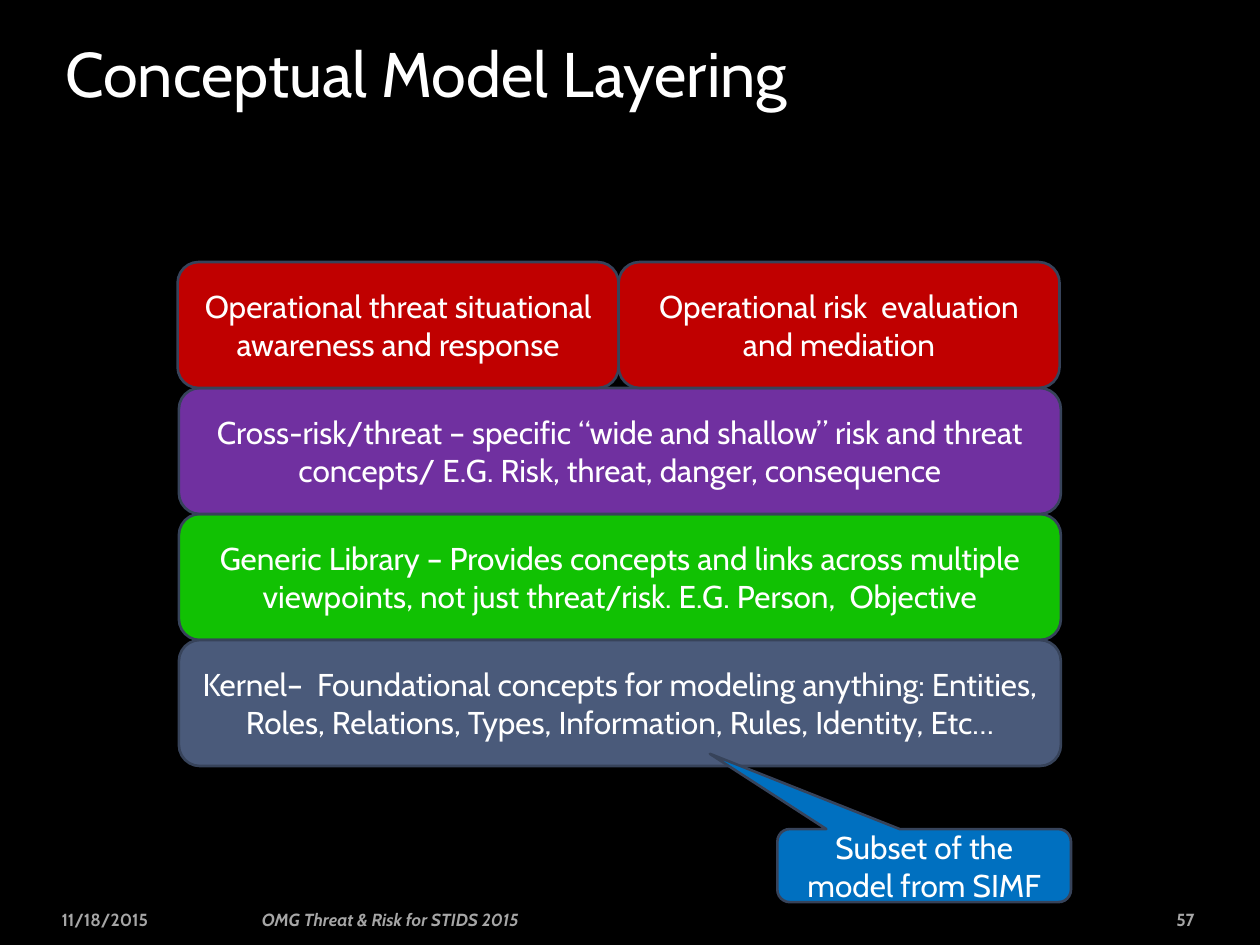
from dataclasses import dataclass

from pptx import Presentation
from pptx.dml.color import RGBColor
from pptx.enum import shapes, text
from pptx.util import Inches, Pt

BLACK = RGBColor(0x00, 0x00, 0x00)
WHITE = RGBColor(0xFF, 0xFF, 0xFF)
GRAY = RGBColor(0xA6, 0xA6, 0xA6)
OUTLINE = RGBColor(0x37, 0x43, 0x5A)
RED = RGBColor(0xC0, 0x00, 0x00)
PURPLE = RGBColor(0x70, 0x30, 0xA0)
GREEN = RGBColor(0x11, 0xC1, 0x03)
SLATE = RGBColor(0x4A, 0x5A, 0x7A)
BLUE = RGBColor(0x00, 0x70, 0xC0)

FONT = "Cabin"
LAYER_LEFT, LAYER_WIDTH, LAYER_HEIGHT = 1.42, 7, 1
TOP_ROW_LEFT, TOP_ROW_TOP = 1.41, 2.08
HALF_WIDTH = LAYER_WIDTH / 2
FOOTER_TOP, FOOTER_HEIGHT = 7.16, 0.27


@dataclass
class Block:
    label: str
    fill: RGBColor
    left: float
    top: float
    width: float = LAYER_WIDTH
    height: float = LAYER_HEIGHT
    kind: shapes.MSO_SHAPE = shapes.MSO_SHAPE.ROUNDED_RECTANGLE
    adjustments: tuple[float, ...] = ()


@dataclass
class Label:
    wording: str
    left: float
    top: float
    width: float
    height: float
    size: float = 10
    color: RGBColor = GRAY
    bold: bool = True
    italic: bool = False
    align: text.PP_ALIGN = text.PP_ALIGN.LEFT
    anchor: text.MSO_ANCHOR = text.MSO_ANCHOR.MIDDLE


def write(frame, wording: str, size: float, color: RGBColor, align, anchor,
          bold: bool = False, italic: bool = False) -> None:
    frame.word_wrap = True
    frame.vertical_anchor = anchor
    paragraph = frame.paragraphs[0]
    paragraph.alignment = align
    run = paragraph.add_run()
    run.text = wording
    run.font.name = FONT
    run.font.size = Pt(size)
    run.font.bold = bold
    run.font.italic = italic
    run.font.color.rgb = color


def draw_block(slide, block: Block) -> None:
    shape = slide.shapes.add_shape(
        block.kind, Inches(block.left), Inches(block.top),
        Inches(block.width), Inches(block.height))
    for index, value in enumerate(block.adjustments):
        shape.adjustments[index] = value
    shape.shadow.inherit = False
    shape.fill.solid()
    shape.fill.fore_color.rgb = block.fill
    shape.line.color.rgb = OUTLINE
    shape.line.width = Pt(1.5)
    write(shape.text_frame, block.label, 18, WHITE,
          text.PP_ALIGN.CENTER, text.MSO_ANCHOR.MIDDLE)


def draw_label(slide, label: Label) -> None:
    box = slide.shapes.add_textbox(
        Inches(label.left), Inches(label.top),
        Inches(label.width), Inches(label.height))
    write(box.text_frame, label.wording, label.size, label.color,
          label.align, label.anchor, label.bold, label.italic)


BLOCKS = [
    Block("Generic Library – Provides concepts and links across multiple viewpoints, "
          "not just threat/risk. E.G. Person,  Objective",
          GREEN, LAYER_LEFT, TOP_ROW_TOP + 2 * LAYER_HEIGHT),
    Block("Kernel–  Foundational concepts for modeling anything: Entities, Roles, "
          "Relations, Types, Information, Rules, Identity, Etc…",
          SLATE, LAYER_LEFT, TOP_ROW_TOP + 3 * LAYER_HEIGHT),
    Block("Cross-risk/threat – specific “wide and shallow” risk and threat concepts/ "
          "E.G. Risk, threat, danger, consequence",
          PURPLE, LAYER_LEFT, TOP_ROW_TOP + LAYER_HEIGHT),
    Block("Operational threat situational awareness and response",
          RED, TOP_ROW_LEFT, TOP_ROW_TOP, HALF_WIDTH),
    Block("Operational risk  evaluation and mediation",
          RED, TOP_ROW_LEFT + HALF_WIDTH, TOP_ROW_TOP, HALF_WIDTH),
    Block("Subset of the model from SIMF", BLUE, 6.17, 6.58, 2.33, 0.58,
          shapes.MSO_SHAPE.ROUNDED_RECTANGULAR_CALLOUT, (-0.73, -1.53, 0.17)),
]

LABELS = [
    Label("Conceptual Model Layering", 0.42, 0.17, 8.4, 0.75, size=36,
          color=WHITE, bold=False, anchor=text.MSO_ANCHOR.BOTTOM),
    Label("OMG Threat & Risk for STIDS 2015", 1.98, FOOTER_TOP, 4.47,
          FOOTER_HEIGHT, italic=True),
    Label("57", 8.62, FOOTER_TOP, 0.96, FOOTER_HEIGHT, align=text.PP_ALIGN.RIGHT),
    Label("11/18/2015", 0.39, FOOTER_TOP, 1.6, FOOTER_HEIGHT),
]


def main() -> None:
    presentation = Presentation()
    presentation.slide_width = Inches(10)
    presentation.slide_height = Inches(7.5)
    slide = presentation.slides.add_slide(presentation.slide_layouts[6])
    slide.background.fill.solid()
    slide.background.fill.fore_color.rgb = BLACK
    for block in BLOCKS:
        draw_block(slide, block)
    for label in LABELS:
        draw_label(slide, label)
    presentation.save("out.pptx")


if __name__ == "__main__":
    main()
